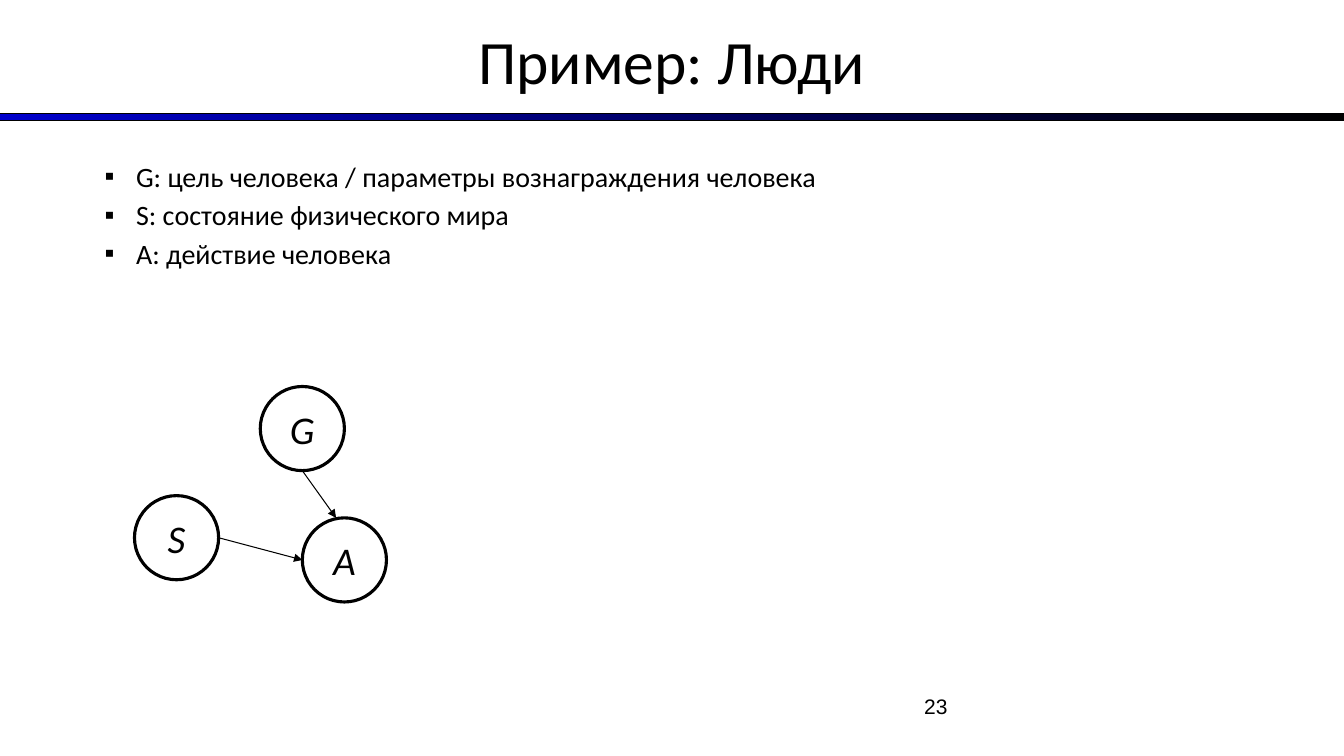
from lxml.etree import SubElement
from pptx import Presentation
from pptx.dml.color import RGBColor
from pptx.enum.shapes import MSO_CONNECTOR as Line, MSO_SHAPE as Shape
from pptx.enum.text import MSO_ANCHOR as Anchor, MSO_AUTO_SIZE as Fit, PP_ALIGN as Align
from pptx.oxml.ns import qn
from pptx.util import Cm, Pt

COLORS = {"ink": "000000", "paper": "FFFFFF", "blue": "0000CC"}
NODE_SIZE = 2.12


def color(name):
    return RGBColor.from_string(COLORS[name])


def apply(target, values):
    for name, value in values.items():
        setattr(target, name, value)


class SlideBuilder:
    """Holds the text style and the current slide."""

    font = "Calibri"

    def __init__(self, page):
        self.page = page

    def fill_text(self, frame, lines, size, align=Align.LEFT, font=None, **frame_format):
        apply(frame, {"word_wrap": True, "auto_size": Fit.NONE, **frame_format})
        for index, line in enumerate(lines):
            para = frame.add_paragraph() if index else frame.paragraphs[0]
            para.alignment = align
            span = para.add_run()
            span.text = line
            apply(span.font, {"name": font or self.font, "size": Pt(size)})
            span.font.color.rgb = color("ink")
        return frame.paragraphs

    def title(self, text, left, top, width, height):
        box = self.page.shapes.title
        apply(box, {"left": Cm(left), "top": Cm(top),
                    "width": Cm(width), "height": Cm(height)})
        self.fill_text(box.text_frame, [text], 44, Align.CENTER,
                       vertical_anchor=Anchor.MIDDLE)

    def text(self, lines, left, top, width, height, size, **style):
        box = self.page.shapes.add_textbox(Cm(left), Cm(top), Cm(width), Cm(height))
        return self.fill_text(box.text_frame, lines, size, **style)

    def bullets(self, lines, *place, size):
        for para in self.text(lines, *place, size):
            para.space_before = Pt(3.5)
            props = para._p.get_or_add_pPr()
            props.set("marL", str(Cm(2.06)))
            props.set("indent", str(Cm(-0.79)))
            SubElement(props, qn("a:buFont")).set("typeface", "Arial")
            SubElement(props, qn("a:buChar")).set("char", "▪")

    def shape(self, kind, left, top, width, height, line_width):
        shape = self.page.shapes.add_shape(
            kind, Cm(left), Cm(top), Cm(width), Cm(height))
        shape.shadow.inherit = False
        shape.line.color.rgb = color("ink")
        shape.line.width = Pt(line_width)
        return shape

    def gradient_bar(self, *place):
        fill = self.shape(Shape.RECTANGLE, *place, 0.75).fill
        fill.gradient()
        fill.gradient_angle = 0
        for stop, position, name in zip(fill.gradient_stops, (0, 1), ("blue", "ink")):
            stop.position = position
            stop.color.rgb = color(name)

    def node(self, label, left, top):
        circle = self.shape(Shape.OVAL, left, top, NODE_SIZE, NODE_SIZE, 2.25)
        circle.fill.solid()
        circle.fill.fore_color.rgb = color("paper")
        paras = self.fill_text(circle.text_frame, [label], 28, Align.CENTER,
                               word_wrap=False, vertical_anchor=Anchor.MIDDLE)
        paras[0].runs[0].font.italic = True

    def arrow(self, start, end):
        link = self.page.shapes.add_connector(
            Line.STRAIGHT, *(Cm(value) for value in (*start, *end)))
        link.line.color.rgb = color("ink")
        link.line.width = Pt(0.75)
        SubElement(link.line._get_or_add_ln(), qn("a:tailEnd")).set("type", "triangle")
        SubElement(link._element.spPr, qn("a:effectLst"))


def main():
    deck = Presentation()
    apply(deck, {"slide_width": Cm(33.87), "slide_height": Cm(19.05)})
    slide = SlideBuilder(deck.slides.add_slide(deck.slide_layouts[5]))

    # Heading with its rule
    slide.gradient_bar(0, 2.86, 33.87, 0.18)
    slide.title("Пример: Люди", 0, -0.08, 33.87, 3.18)

    # Meaning of the variables
    slide.bullets([
        "G: цель человека / параметры вознаграждения человека",
        "S: состояние физического мира",
        "A: действие человека",
    ], 1.12, 3.89, 31.6, 13.13, size=20)

    # Page number
    slide.text(["23"], 18.21, 17.35, 5.92, 1.32, 15, align=Align.RIGHT, font="Arial")

    # Dependency graph
    nodes = {"G": (6.56, 9.74), "S": (3.39, 12.49), "A": (7.62, 13.05)}
    for label, corner in nodes.items():
        slide.node(label, *corner)
    radius = NODE_SIZE / 2
    (g_left, g_top), (s_left, s_top), (a_left, a_top) = nodes.values()
    slide.arrow((s_left + NODE_SIZE, s_top + radius), (a_left, a_top + radius))
    slide.arrow((g_left + radius, g_top + NODE_SIZE), (a_left + 0.85, a_top))

    deck.save("out.pptx")


if __name__ == "__main__":
    main()
